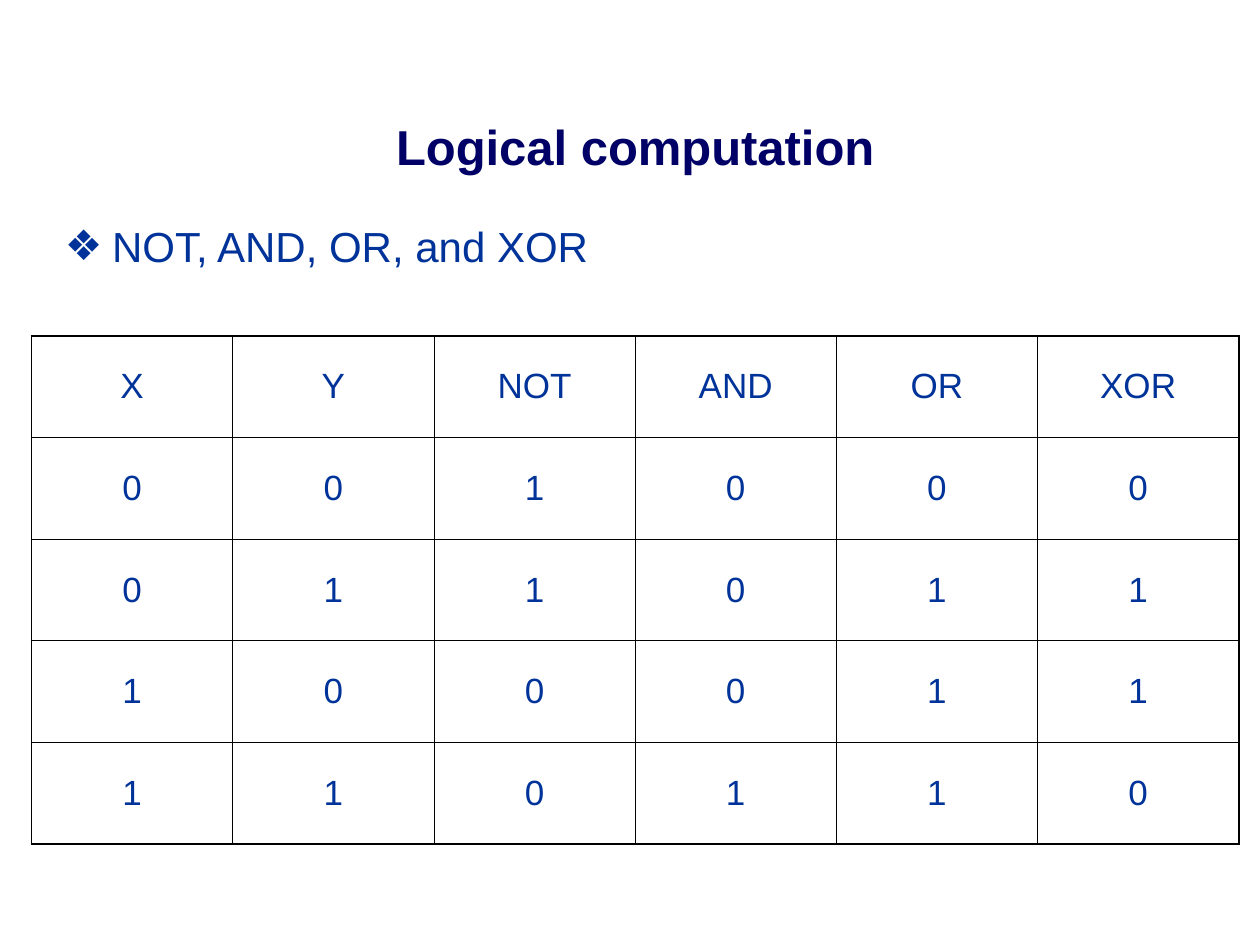
from lxml.etree import SubElement
from pptx import Presentation
from pptx.dml.color import RGBColor as Rgb
from pptx.enum.text import MSO_ANCHOR as Anchor, PP_ALIGN as Align
from pptx.oxml.ns import qn
from pptx.util import Pt

COLORS = {"title": "000066", "text": "003399", "border": "000000"}
TITLE = "Logical computation"
OPERATORS = "NOT, AND, OR, and XOR"
TRUTH_TABLE = [
    ("X", "Y", "NOT", "AND", "OR", "XOR"),
    ("0", "0", "1", "0", "0", "0"),
    ("0", "1", "1", "0", "1", "1"),
    ("1", "0", "0", "0", "1", "1"),
    ("1", "1", "0", "1", "1", "0"),
]
TITLE_BOX = (18, 60, 690, 41)
OPERATORS_BOX = (30, 120, 690, 66)
TABLE_BOX = (18, 192, 690, 290.4)
INSETS = {"margin_left": Pt(7.2), "margin_right": Pt(7.2)}
BULLET = "❖"
BULLET_INDENT = Pt(27)
OUTER, INNER = 1.08, 0.45


def style(paragraph, size, color, align, bold=False):
    paragraph.alignment = align
    font = paragraph.font
    for name, value in {"name": "Arial", "size": Pt(size), "bold": bold}.items():
        setattr(font, name, value)
    font.color.rgb = Rgb.from_string(COLORS[color])


def add_text(slide, text, box, top_inset):
    frame = slide.shapes.add_textbox(*map(Pt, box)).text_frame
    layout = {"word_wrap": True, "vertical_anchor": Anchor.TOP, "margin_top": Pt(top_inset)}
    for name, value in {**INSETS, **layout}.items():
        setattr(frame, name, value)
    paragraph = frame.paragraphs[0]
    paragraph.text = text
    return paragraph


def add_bullet(paragraph):
    props = paragraph._p.get_or_add_pPr()
    props.set("marL", str(BULLET_INDENT))
    props.set("indent", str(-BULLET_INDENT))
    bullet_color = SubElement(props, qn("a:buClr"))
    SubElement(bullet_color, qn("a:srgbClr"), val=COLORS["text"])
    SubElement(props, qn("a:buFont"), typeface="Arial")
    SubElement(props, qn("a:buChar"), char=BULLET)


def add_borders(cell, outer_sides):
    props = cell._tc.get_or_add_tcPr()
    for side, is_outer in outer_sides.items():
        width = Pt(OUTER if is_outer else INNER)
        line = SubElement(props, qn(f"a:ln{side}"), w=str(width))
        fill = SubElement(line, qn("a:solidFill"))
        SubElement(fill, qn("a:srgbClr"), val=COLORS["border"])


def add_truth_table(slide):
    row_count, column_count = len(TRUTH_TABLE), len(TRUTH_TABLE[0])
    table = slide.shapes.add_table(row_count, column_count, *map(Pt, TABLE_BOX)).table
    table.first_row = table.horz_banding = False
    for column in table.columns:
        column.width = Pt(TABLE_BOX[2] / column_count)
    for r, values in enumerate(TRUTH_TABLE):
        table.rows[r].height = Pt(TABLE_BOX[3] / row_count)
        for c, value in enumerate(values):
            cell = table.cell(r, c)
            cell.text = value
            layout = {"vertical_anchor": Anchor.MIDDLE, "margin_top": Pt(3.6), "margin_bottom": Pt(3.6)}
            for name, setting in {**INSETS, **layout}.items():
                setattr(cell, name, setting)
            style(cell.text_frame.paragraphs[0], 20, "text", Align.CENTER)
            add_borders(cell, {"L": c == 0, "R": c == column_count - 1,
                               "T": r == 0, "B": r == row_count - 1})
            cell.fill.background()


def main():
    deck = Presentation()
    deck.slide_width, deck.slide_height = Pt(720), Pt(540)
    slide = deck.slides.add_slide(deck.slide_layouts[6])
    style(add_text(slide, TITLE, TITLE_BOX, 6.6), 28, "title", Align.CENTER, bold=True)
    operators = add_text(slide, OPERATORS, OPERATORS_BOX, 6)
    add_bullet(operators)
    style(operators, 24, "text", Align.LEFT)
    add_truth_table(slide)
    deck.save("out.pptx")


if __name__ == "__main__":
    main()
